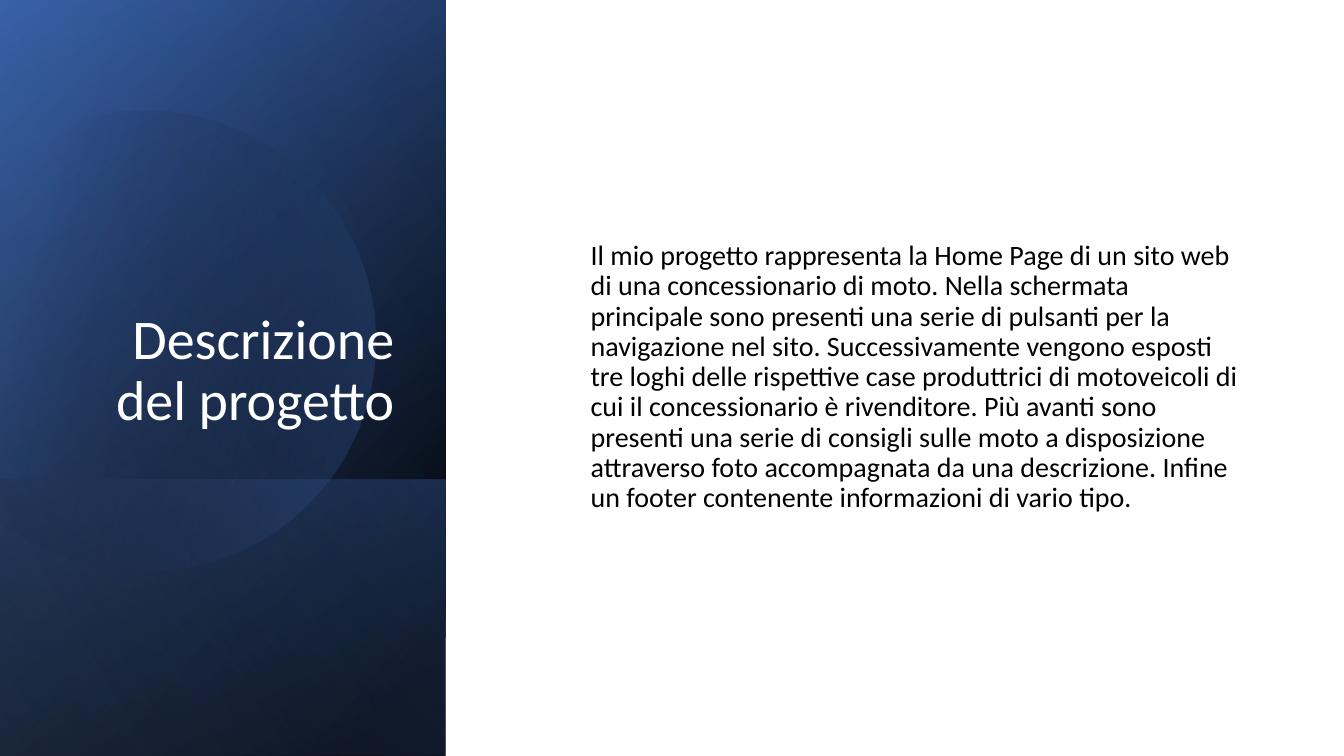
from math import cos, radians, sin, tan

from pptx import Presentation
from pptx.dml.color import RGBColor
from pptx.enum.shapes import MSO_SHAPE
from pptx.enum.text import MSO_ANCHOR, MSO_AUTO_SIZE, PP_ALIGN
from pptx.oxml import parse_xml
from pptx.oxml.ns import nsdecls, qn
from pptx.util import Inches, Pt

COLORS = {
    "white": "FFFFFF",
    "black": "000000",
    "navy": "2F5597",
    "blue": "4472C4",
    "light_blue": "8FAADC",
}


def apply_gradient(shape, stops, angle):
    shape.shadow.inherit = False
    shape.line.fill.background()
    shape.fill.background()
    stop_list = "".join(
        f'<a:gs pos="{position * 1000}"><a:srgbClr val="{COLORS[color]}">'
        f'<a:alpha val="{opacity * 1000}"/></a:srgbClr></a:gs>'
        for position, color, opacity in stops
    )
    gradient = parse_xml(
        f'<a:gradFill {nsdecls("a")} rotWithShape="1"><a:gsLst>{stop_list}</a:gsLst>'
        f'<a:lin ang="{angle * 60000}" scaled="0"/></a:gradFill>'
    )
    properties = shape.element.spPr
    properties.replace(properties.find(qn("a:noFill")), gradient)


def write_text(shape, text, frame_format, paragraph_format, font_format, color):
    frame = shape.text_frame
    frame.text = text
    paragraph = frame.paragraphs[0]
    for target, values in (
        (frame, frame_format),
        (paragraph, paragraph_format),
        (paragraph.runs[0].font, font_format),
    ):
        for name, value in values.items():
            setattr(target, name, value)
    paragraph.runs[0].font.color.rgb = RGBColor.from_string(COLORS[color])
    return paragraph


presentation = Presentation()
presentation.slide_width = Inches(13.33)
presentation.slide_height = Inches(7.5)
slide = presentation.slides.add_slide(presentation.slide_layouts[5])

backdrop = slide.shapes.add_shape(
    MSO_SHAPE.RECTANGLE, 0, 0, presentation.slide_width, presentation.slide_height
)
backdrop.shadow.inherit = False
backdrop.fill.solid()
backdrop.fill.fore_color.rgb = RGBColor.from_string(COLORS["white"])
backdrop.line.fill.background()

panel_width = 4.42
panels = [
    (0, 7.5, [(8, "black", 100), (100, "navy", 100)], 50),
    (0, 7.5, [(0, "black", 0), (99, "blue", 46)], 30),
    (4.76, 2.74, [(2, "blue", 29), (100, "black", 30)], 130),
    "circle",
    (0, 7.5, [(0, "black", 0), (99, "light_blue", 11)], 120),
]
circle_left, circle_top, circle_width, circle_height = -0.55, 1.06, 4.27, 4.57
radius = circle_height / 2
center_x, center_y = circle_width - radius, radius
arc_start, arc_step, arc_count = -118, 67, 4
handle = 4 / 3 * tan(radians(arc_step / 4))

for panel in panels:
    if panel == "circle":
        left, top = Inches(circle_left), Inches(circle_top)
        right, bottom = left + Inches(circle_width), top + Inches(circle_height)
        builder = slide.shapes.build_freeform(left, top)
        builder.add_line_segments([(right, top), (right, bottom), (left, bottom)])
        circle = builder.convert_to_shape()
        outline = []
        for index in range(arc_count + 1):
            angle = radians(arc_start + index * arc_step)
            for side in (-handle, 0, handle):
                x = center_x + radius * (cos(angle) - side * sin(angle))
                y = center_y + radius * (sin(angle) + side * cos(angle))
                outline.append(f'<a:pt x="{Inches(x)}" y="{Inches(y)}"/>')
        outline = outline[1:-1]
        curves = "".join(
            f'<a:cubicBezTo>{"".join(outline[first:first + 3])}</a:cubicBezTo>'
            for first in range(1, len(outline), 3)
        )
        curved_path = parse_xml(
            f'<a:path {nsdecls("a")} w="{circle.width}" h="{circle.height}">'
            f"<a:moveTo>{outline[0]}</a:moveTo>{curves}<a:close/></a:path>"
        )
        path_list = circle.element.spPr.find(qn("a:custGeom")).find(qn("a:pathLst"))
        path_list.replace(path_list[0], curved_path)
        circle.rotation = 343.9
        apply_gradient(circle, [(29, "black", 0), (100, "blue", 43)], 30)
        continue
    top, height, stops, angle = panel
    offset = (height - panel_width) / 2
    rectangle = slide.shapes.add_shape(
        MSO_SHAPE.RECTANGLE,
        Inches(-offset),
        Inches(top + offset),
        Inches(height),
        Inches(panel_width),
    )
    rectangle.rotation = 90
    rectangle.element.spPr.find(qn("a:xfrm")).set("flipH", "1")
    apply_gradient(rectangle, stops, angle)

title = slide.shapes.title
title.left, title.top = Inches(0.51), Inches(0.64)
title.width, title.height = Inches(3.5), Inches(3.7)
title.element.getparent().append(title.element)
frame_format = {"word_wrap": True, "auto_size": MSO_AUTO_SIZE.NONE}
write_text(
    title,
    "Descrizione del progetto",
    {**frame_format, "vertical_anchor": MSO_ANCHOR.BOTTOM},
    {"alignment": PP_ALIGN.RIGHT, "line_spacing": 0.9},
    {"name": "Calibri", "size": Pt(40)},
    "white",
)

description = slide.shapes.add_textbox(
    Inches(5.26), Inches(0.71), Inches(7.17), Inches(6.07)
)
paragraph = write_text(
    description,
    "Il mio progetto rappresenta la Home Page di un sito web di una concessionario di moto. "
    "Nella schermata principale sono presenti una serie di pulsanti per la navigazione nel sito. "
    "Successivamente vengono esposti tre loghi delle rispettive case produttrici di motoveicoli "
    "di cui il concessionario è rivenditore. Più avanti sono presenti una serie di consigli "
    "sulle moto a disposizione attraverso foto accompagnata da una descrizione. "
    "Infine un footer contenente informazioni di vario tipo.",
    {**frame_format, "vertical_anchor": MSO_ANCHOR.MIDDLE},
    {"alignment": PP_ALIGN.LEFT, "line_spacing": 0.9},
    {"name": "Calibri", "size": Pt(20)},
    "black",
)
paragraph_properties = paragraph._p.get_or_add_pPr()
paragraph_properties.set("marL", str(Inches(0.5)))
paragraph_properties.set("indent", "0")

presentation.save("out.pptx")
